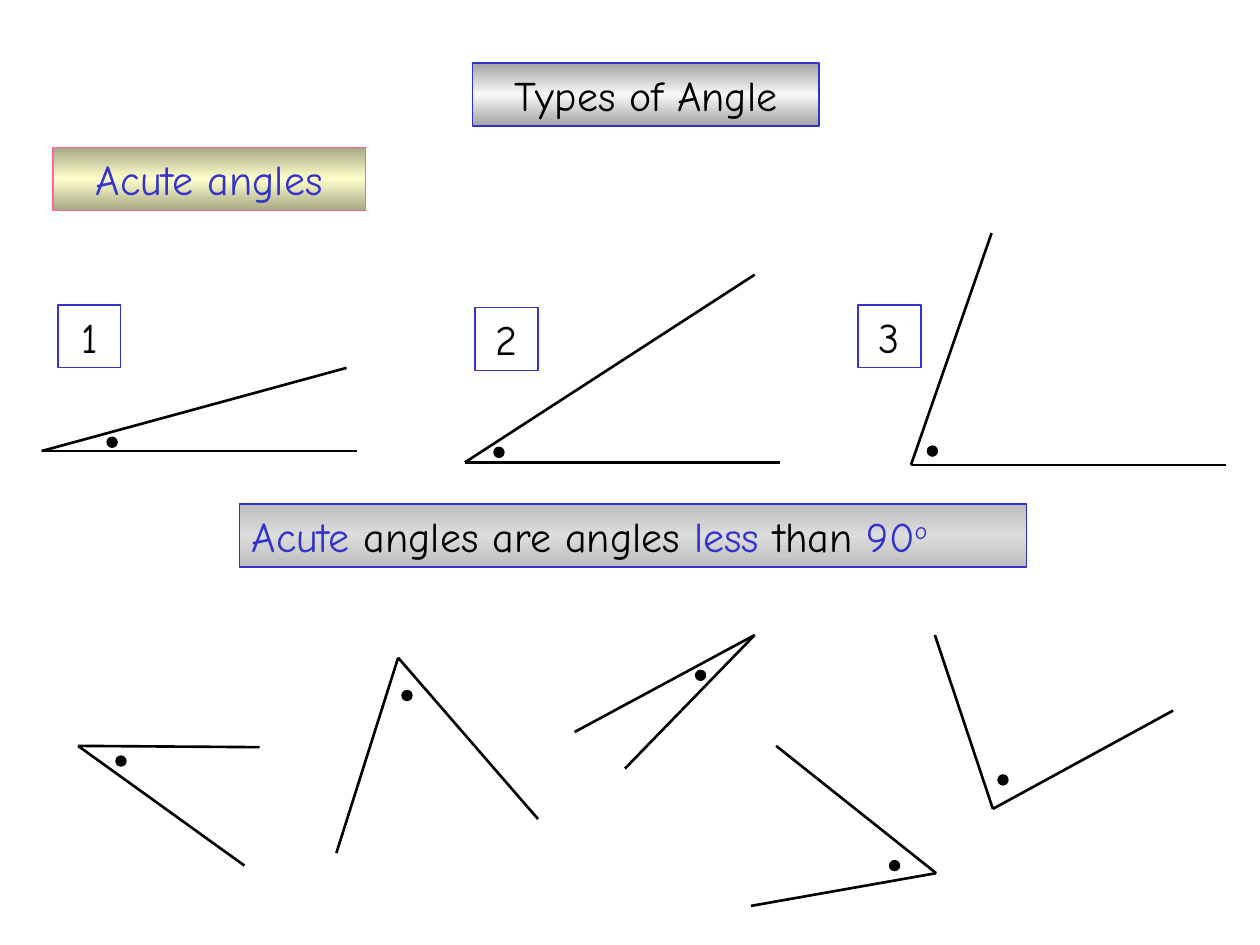
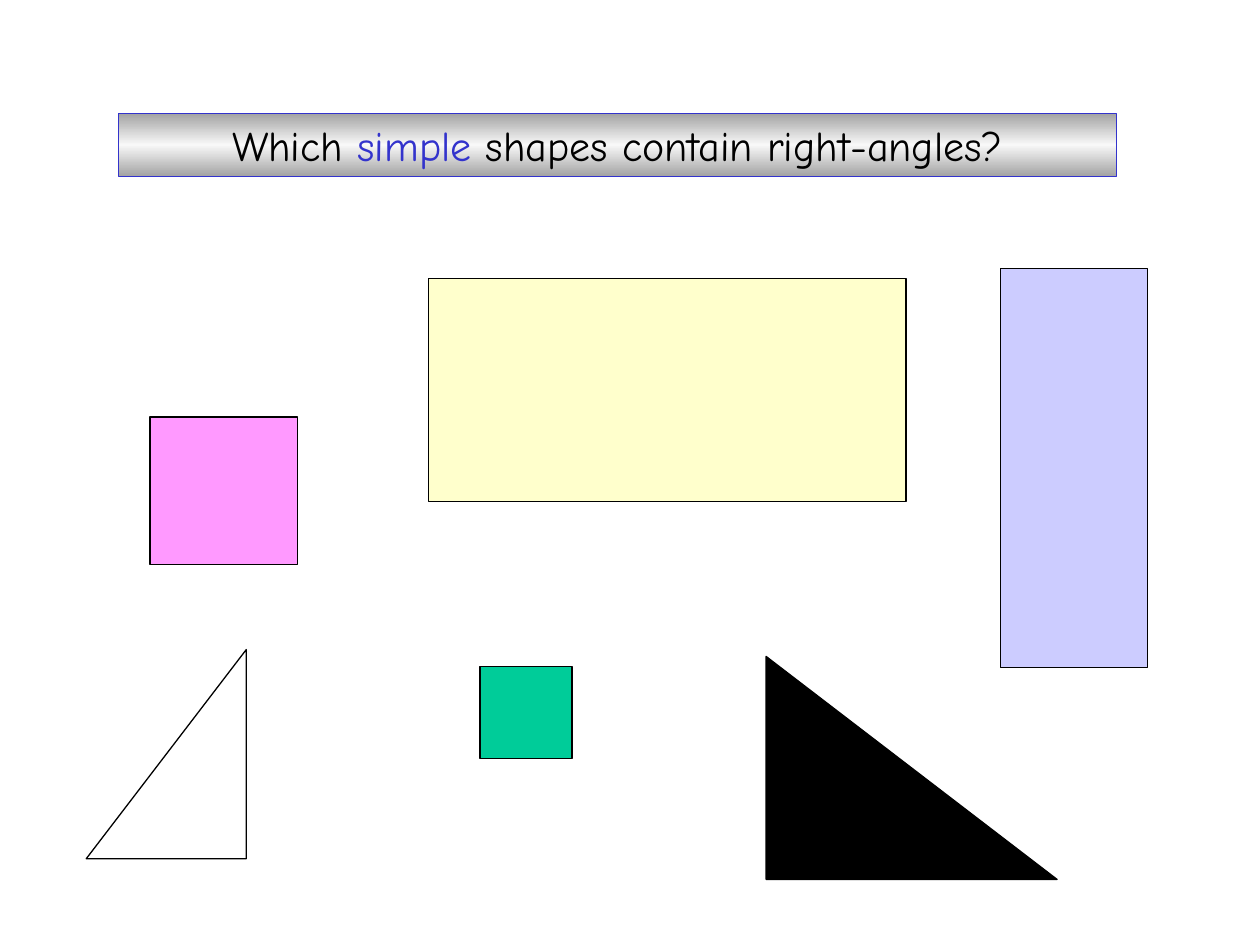
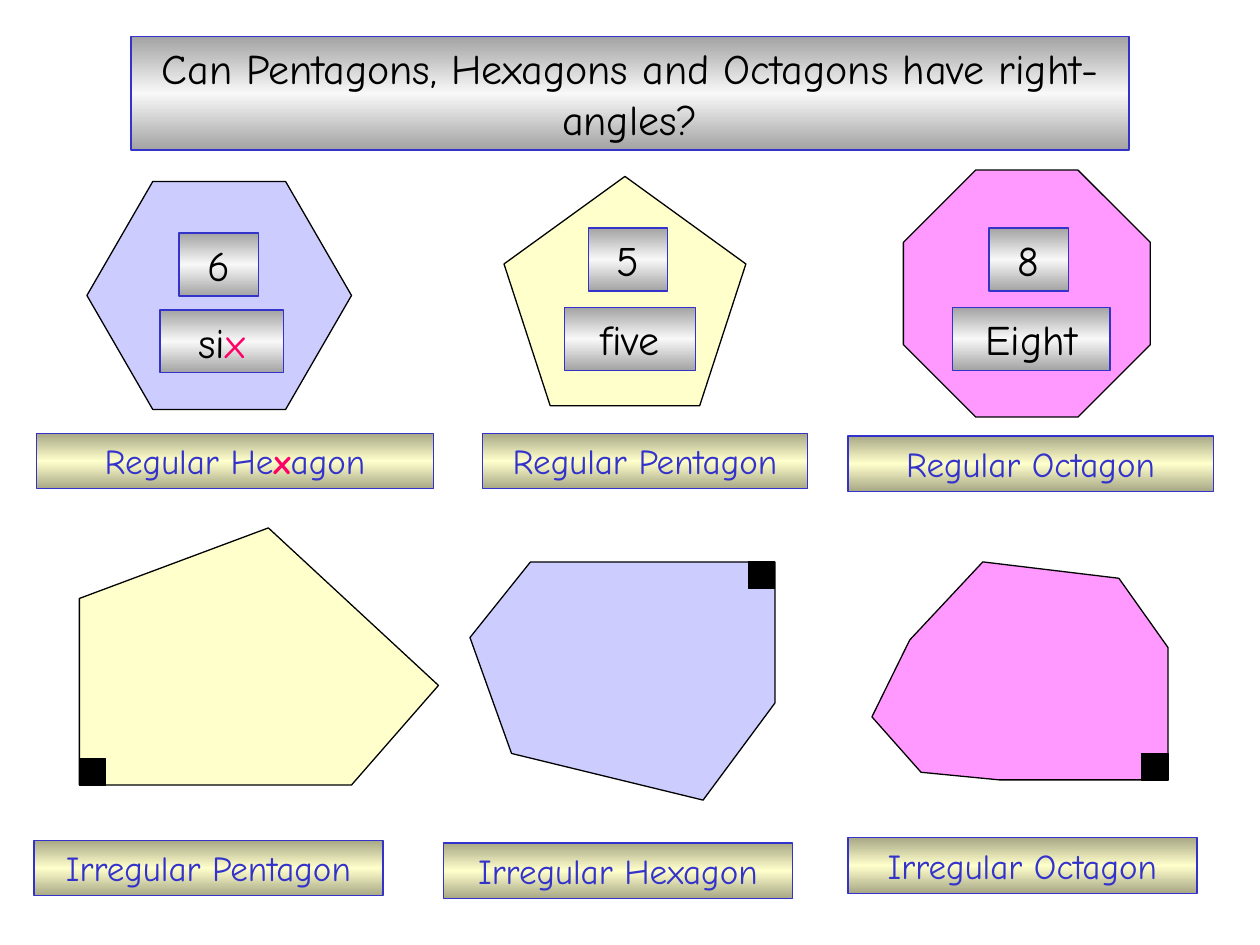
from copy import deepcopy

from pptx import Presentation
from pptx.dml.color import RGBColor
from pptx.enum.shapes import MSO_CONNECTOR, MSO_SHAPE as Preset
from pptx.enum.text import MSO_ANCHOR, MSO_AUTO_SIZE, PP_ALIGN
from pptx.oxml.ns import qn
from pptx.oxml.xmlchemy import OxmlElement
from pptx.util import Inches, Pt

FONT = "Comic Neue"
BLACK = RGBColor(0x00, 0x00, 0x00)
WHITE = RGBColor(0xFF, 0xFF, 0xFF)
BLUE = RGBColor(0x33, 0x33, 0xCC)
ROSE = RGBColor(0xFF, 0x66, 0x99)
RED = RGBColor(0xFF, 0x00, 0x66)
CREAM = RGBColor(0xFF, 0xFF, 0xCC)
LILAC = RGBColor(0xCC, 0xCC, 0xFF)
PINK = RGBColor(0xFF, 0x99, 0xFF)
GREEN = RGBColor(0x00, 0xCC, 0x99)

# Gradient bands: edge colour, middle colour
SILVER = (RGBColor(0xA3, 0xA3, 0xA3), RGBColor(0xF8, 0xF8, 0xF8))
GREY = (RGBColor(0xBD, 0xBD, 0xBD), RGBColor(0xDD, 0xDD, 0xDD))
GOLD = (RGBColor(0xA8, 0xA8, 0x86), CREAM)

DOT_SIZE = 0.08
MARKER_SIZE = 0.21
TITLE_HEIGHT = 0.5
LABEL_HEIGHT = 0.44

# Slide 1: angles as vertex, two arm ends, top left of the dot
ANGLES = [
    ((0.33, 3.58), (2.83, 3.58), (2.75, 2.92), (0.85, 3.47)),
    ((3.69, 3.67), (6.19, 3.67), (5.99, 2.18), (3.92, 3.55)),
    ((7.23, 3.69), (9.73, 3.69), (7.87, 1.85), (7.36, 3.54)),
    ((0.62, 5.92), (1.94, 6.87), (2.06, 5.93), (0.92, 6.00)),
    ((3.16, 5.22), (2.67, 6.77), (4.27, 6.50), (3.19, 5.48)),
    ((5.99, 5.04), (4.56, 5.81), (4.96, 6.10), (5.52, 5.32)),
    ((7.43, 6.93), (6.16, 5.92), (5.96, 7.19), (7.06, 6.83)),
    ((7.88, 6.42), (9.31, 5.64), (7.42, 5.04), (7.92, 6.15)),
]
ANGLE_NUMBERS = [("1", 0.46, 2.42), ("2", 3.77, 2.44), ("3", 6.81, 2.42)]
ACUTE_RULE = [("Acute", BLUE), (" angles are angles ", BLACK), ("less", BLUE),
              (" than ", BLACK), ("90", BLUE), ("o", BLUE)]

# Slide 2: preset, frame, fill, rotation
SIMPLE_SHAPES = [
    (Preset.RECTANGLE, (1.19, 3.31, 1.17, 1.17), PINK, 0),
    (Preset.RECTANGLE, (7.94, 2.13, 1.17, 3.17), LILAC, 0),
    (Preset.RECTANGLE, (3.81, 5.29, 0.73, 0.73), GREEN, 0),
    (Preset.RECTANGLE, (3.4, 2.21, 3.79, 1.77), CREAM, 0),
    (Preset.RIGHT_TRIANGLE, (6.08, 5.21, 2.31, 1.77), BLACK, 0),
    (Preset.RIGHT_TRIANGLE, (0.49, 5.35, 1.66, 1.27), WHITE, 270),
]
SIMPLE_QUESTION = [("Which ", BLACK), ("simple ", BLUE),
                   ("shapes contain right-angles?", BLACK)]

# Slide 3: preset, frame, fill, adjustments
REGULAR_POLYGONS = [
    (Preset.REGULAR_PENTAGON, (4, 1.4, 1.92, 1.82), CREAM, ()),
    (Preset.HEXAGON, (0.69, 1.44, 2.1, 1.81), LILAC, (0.289, 1.155)),
    (Preset.OCTAGON, (7.17, 1.35, 1.96, 1.96), PINK, (0.293,)),
]
# Fill, then corners with the right angle first
IRREGULAR_POLYGONS = [
    (CREAM, [(0.63, 6.23), (0.63, 4.75), (2.13, 4.19), (3.48, 5.44),
             (2.79, 6.23)]),
    (LILAC, [(6.15, 4.46), (6.15, 5.58), (5.58, 6.35), (4.06, 5.98),
             (3.73, 5.06), (4.21, 4.46)]),
    (PINK, [(9.27, 6.19), (9.27, 5.14), (8.88, 4.59), (7.8, 4.46),
            (7.22, 5.08), (6.92, 5.69), (7.31, 6.13), (7.93, 6.19)]),
]
# Runs, left, top, width
POLYGON_NAMES = [
    ([("Regular Pentagon", BLUE)], 3.83, 3.44, 2.58),
    ([("Regular He", BLUE), ("x", RED), ("agon", BLUE)], 0.29, 3.44, 3.15),
    ([("Regular Octagon", BLUE)], 6.73, 3.46, 2.9),
    ([("Irregular Pentagon", BLUE)], 0.27, 6.67, 2.77),
    ([("Irregular Hexagon", BLUE)], 3.52, 6.69, 2.77),
    ([("Irregular Octagon", BLUE)], 6.73, 6.65, 2.77),
]
SIDE_COUNTS = [
    ([("6", BLACK)], 1.42, 1.85, 0.63),
    ([("si", BLACK), ("x", RED)], 1.27, 2.46, 0.98),
    ([("5", BLACK)], 4.67, 1.81, 0.63),
    ([("five", BLACK)], 4.48, 2.44, 1.04),
    ([("8", BLACK)], 7.85, 1.81, 0.63),
    ([("Eight", BLACK)], 7.56, 2.44, 1.25),
]


def paint(shape, fill, line=BLACK):
    """Give a shape no fill, a plain fill or a three-stop band."""
    shape.shadow.inherit = False
    shape.line.color.rgb = line
    shape.line.width = Pt(0.75)
    if fill is None:
        shape.fill.background()
    elif isinstance(fill, RGBColor):
        shape.fill.solid()
        shape.fill.fore_color.rgb = fill
    else:
        edge, middle = fill
        shape.fill.gradient()
        shape.fill.gradient_angle = 90
        stop_list = shape._element.spPr.find(qn("a:gradFill")).find(qn("a:gsLst"))
        stop_list.append(deepcopy(stop_list[-1]))
        stops = zip(shape.fill.gradient_stops, (0, 0.5, 1), (edge, middle, edge))
        for stop, position, color in stops:
            stop.position = position
            stop.color.rgb = color


def add_preset(page, preset, frame, fill, line=BLACK):
    shape = page.shapes.add_shape(preset, *map(Inches, frame))
    paint(shape, fill, line)
    return shape


def add_label(page, frame, runs, fill, line=BLUE, size=24, align=PP_ALIGN.CENTER):
    box = add_preset(page, Preset.RECTANGLE, frame, fill, line)
    text = box.text_frame
    text.word_wrap = True
    text.auto_size = MSO_AUTO_SIZE.SHAPE_TO_FIT_TEXT
    text.vertical_anchor = MSO_ANCHOR.TOP
    para = text.paragraphs[0]
    para.alignment = align
    for words, color in runs:
        span = para.add_run()
        span.text = words
        span.font.name = FONT
        span.font.size = Pt(size)
        span.font.color.rgb = color
    return para


def add_arm(page, start, end):
    arm = page.shapes.add_connector(MSO_CONNECTOR.STRAIGHT,
                                    *map(Inches, start + end))
    arm.line.color.rgb = BLACK
    arm.line.width = Pt(1.5)
    arm._element.spPr.append(OxmlElement("a:effectLst"))


def add_irregular(page, fill, corners):
    points = [(Inches(x), Inches(y)) for x, y in corners]
    builder = page.shapes.build_freeform(*points[0], scale=1.0)
    builder.add_line_segments(points[1:], close=True)
    paint(builder.convert_to_shape(), fill)


def add_marker(page, corners):
    """Put the square inside the right angle at the first corner."""
    x, y = corners[0]
    left = x if x == min(px for px, _ in corners) else x - MARKER_SIZE
    top = y if y == min(py for _, py in corners) else y - MARKER_SIZE
    add_preset(page, Preset.RECTANGLE, (left, top, MARKER_SIZE, MARKER_SIZE), BLACK)


def build_acute_angles(page):
    add_label(page, (3.75, 0.5, 2.75, TITLE_HEIGHT), [("Types of Angle", BLACK)], SILVER)
    add_label(page, (0.42, 1.17, 2.48, TITLE_HEIGHT), [("Acute angles", BLUE)], GOLD, ROSE)
    for vertex, first_end, second_end, dot in ANGLES:
        add_arm(page, vertex, first_end)
        add_arm(page, vertex, second_end)
        add_preset(page, Preset.OVAL, dot + (DOT_SIZE, DOT_SIZE), BLACK)
    for number, left, top in ANGLE_NUMBERS:
        add_label(page, (left, top, 0.5, TITLE_HEIGHT), [(number, BLACK)], None)
    rule = add_label(page, (1.9, 4, 6.25, TITLE_HEIGHT), ACUTE_RULE, GREY,
                     align=PP_ALIGN.LEFT)
    # Raise the degree sign
    rule.runs[-1]._r.get_or_add_rPr().set("baseline", "30000")


def build_simple_shapes(page):
    add_label(page, (0.94, 0.9, 7.92, TITLE_HEIGHT), SIMPLE_QUESTION, SILVER)
    for preset, frame, fill, rotation in SIMPLE_SHAPES:
        add_preset(page, preset, frame, fill).rotation = rotation


def build_polygons(page):
    question = "Can Pentagons, Hexagons and Octagons have right-angles?"
    add_label(page, (1.04, 0.29, 7.92, 0.9), [(question, BLACK)], SILVER)
    for preset, frame, fill, adjustments in REGULAR_POLYGONS:
        polygon = add_preset(page, preset, frame, fill)
        for index, value in enumerate(adjustments):
            polygon.adjustments[index] = value
    for fill, corners in IRREGULAR_POLYGONS:
        add_irregular(page, fill, corners)
        add_marker(page, corners)
    for runs, left, top, width in POLYGON_NAMES:
        para = add_label(page, (left, top, width, LABEL_HEIGHT), runs, GOLD, size=20)
        for span, (_, color) in zip(para.runs, runs):
            span.font.bold = color == RED
    for runs, left, top, width in SIDE_COUNTS:
        add_label(page, (left, top, width, TITLE_HEIGHT), runs, SILVER)


def main():
    deck = Presentation()
    deck.slide_width, deck.slide_height = Inches(10), Inches(7.5)
    for build in (build_acute_angles, build_simple_shapes, build_polygons):
        build(deck.slides.add_slide(deck.slide_layouts[6]))
    deck.save("out.pptx")


if __name__ == "__main__":
    main()
